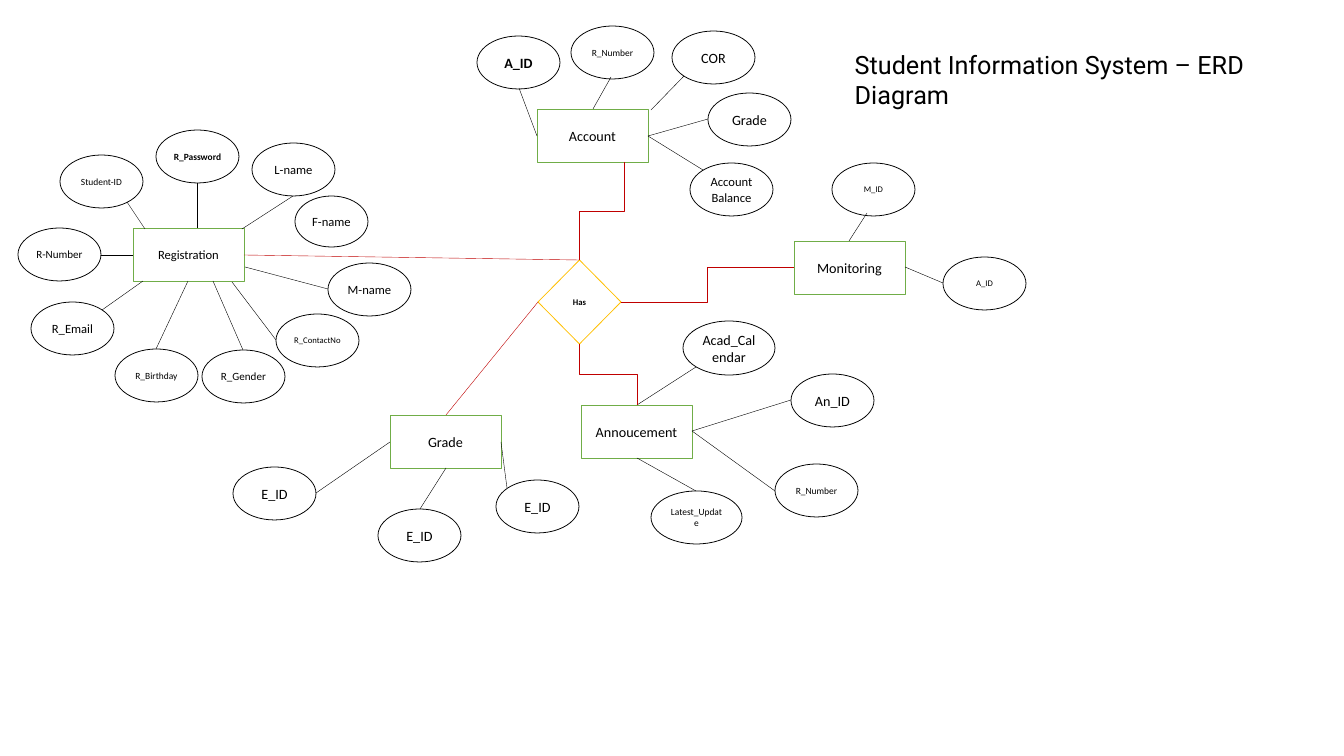
from lxml import etree
from pptx import Presentation
from pptx.dml.color import RGBColor
from pptx.enum.shapes import MSO_CONNECTOR, MSO_SHAPE
from pptx.enum.text import MSO_ANCHOR, MSO_AUTO_SIZE, PP_ALIGN
from pptx.oxml.ns import qn
from pptx.util import Pt

STRAIGHT, ELBOW = MSO_CONNECTOR.STRAIGHT, MSO_CONNECTOR.ELBOW
ELLIPSE, RECTANGLE, DIAMOND = MSO_SHAPE.OVAL, MSO_SHAPE.RECTANGLE, MSO_SHAPE.DIAMOND
LEFT, CENTER = PP_ALIGN.LEFT, PP_ALIGN.CENTER
TOP, MIDDLE = MSO_ANCHOR.TOP, MSO_ANCHOR.MIDDLE

SCALE = 914400 / 56.7
COLORS = {"ink": "000000", "paper": "FFFFFF", "entity": "70AD47",
          "relation": "C00000", "diamond": "FFC000"}
TITLE_ONLY = 5
ENTITY_SIZE = (111, 53)
ATTRIBUTE_SIZE = (83, 53)
WIDE_SIZES = {"Acad_Calendar": (92, 54), "Latest_Update": (91, 53), "F-name": (73, 51)}
KEY_ATTRIBUTES = {("Registration", "R_Password"), ("Account", "A_ID")}

# Entity: name, left, top, font size, attributes.
# Attribute: name, left, top, font size, connecting line (x1, y1, x2, y2).
ENTITIES = [
    ("Registration", 133, 228, 16, [
        ("R-Number", 18, 228, 14, (101, 255, 133, 255)),
        ("Student-ID", 60, 155, 12, (127, 202, 145, 229)),
        ("R_Password", 156, 130, 12, (197, 183, 197, 228)),
        ("L-name", 252, 143, 16, (293, 196, 242, 229)),
        ("F-name", 295, 196, 16, None),
        ("M-name", 328, 263, 16, (245, 267, 328, 289)),
        ("R_ContactNo", 276, 314, 11, (232, 282, 276, 340)),
        ("R_Gender", 202, 350, 14, (213, 281, 243, 350)),
        ("R_Birthday", 115, 349, 12, (188, 281, 156, 349)),
        ("R_Email", 31, 302, 16, (102, 310, 143, 281)),
    ]),
    ("Account", 537, 109, 18, [
        ("A_ID", 477, 36, 18, (537, 136, 519, 88)),
        ("R_Number", 571, 26, 12, (611, 77, 593, 109)),
        ("COR", 672, 31, 18, (684, 76, 651, 110)),
        ("Grade", 708, 93, 18, (708, 119, 648, 136)),
        ("Account\vBalance", 690, 163, 16, (703, 170, 648, 136)),
    ]),
    ("Monitoring", 794, 241, 18, [
        ("M_ID", 832, 163, 11, (867, 213, 849, 241)),
        ("A_ID", 943, 257, 11, (943, 283, 905, 267)),
    ]),
    ("Annoucement", 581, 405, 18, [
        ("Acad_Calendar", 683, 321, 18, (696, 367, 637, 405)),
        ("An_ID", 791, 374, 18, (791, 400, 692, 431)),
        ("R_Number", 775, 464, 12, (775, 491, 692, 431)),
        ("Latest_Update", 651, 491, 12, (696, 491, 637, 458)),
    ]),
    ("Grade", 390, 415, 18, [
        ("E_ID", 233, 467, 18, (316, 493, 390, 442)),
        ("E_ID", 378, 509, 18, (446, 468, 420, 509)),
        ("E_ID", 496, 480, 18, (501, 442, 507, 488)),
    ]),
]
STRAIGHT_RELATIONS = [(244, 255, 579, 260), (446, 415, 538, 302)]
SIDE_RELATIONS = [(621, 302, 794, 267)]
DOWN_RELATIONS = [(624, 162, 579, 260), (579, 344, 637, 405)]


def emu(*pixels):
    """Turn pixel lengths into EMU."""
    return [round(pixel * SCALE) for pixel in pixels]


def color(name):
    """Look up a colour by its role."""
    return RGBColor.from_string(COLORS[name])


def write(shape, text, align, anchor, **font_format):
    """Fill a shape with formatted, wrapping text."""
    frame = shape.text_frame
    frame.text = text
    frame.word_wrap = True
    frame.vertical_anchor = anchor
    for para in frame.paragraphs:
        para.alignment = align
        for span in para.runs:
            span.font.color.rgb = color("ink")
            for key, value in font_format.items():
                setattr(span.font, key, value)


def add_node(page, kind, box, text, size, outline, bold=False):
    """Add a white outlined shape with a centred label."""
    node = page.shapes.add_shape(kind, *emu(*box))
    node.shadow.inherit = False
    node.fill.solid()
    node.fill.fore_color.rgb = color("paper")
    node.line.color.rgb = color(outline)
    node.line.width = Pt(1)
    write(node, text, CENTER, MIDDLE, name="Calibri", size=Pt(size), bold=bold)


def add_link(page, ends, kind=STRAIGHT, ink="ink"):
    """Add a thin connector between two points."""
    link = page.shapes.add_connector(kind, *emu(*ends))
    link.line.color.rgb = color(ink)
    link.line.width = Pt(0.5)
    etree.SubElement(link._element.spPr, qn("a:effectLst"))
    return link


def add_down_link(page, ends):
    """Add an elbow that leaves downwards: a sideways elbow turned by 90 degrees."""
    x1, y1, x2, y2 = ends
    mid_x, mid_y = (x1 + x2) / 2, (y1 + y2) / 2
    half_x, half_y = (x2 - x1) / 2, (y2 - y1) / 2
    turned = (mid_x - half_y, mid_y + half_x, mid_x + half_y, mid_y - half_x)
    link = add_link(page, turned, ELBOW, "relation")
    link._element.spPr.find(qn("a:xfrm")).set("rot", str(90 * 60000))


def add_entity(page, name, left, top, size, attributes):
    """Add an entity with its attributes and their lines."""
    add_node(page, RECTANGLE, (left, top, *ENTITY_SIZE), name, size, "entity")
    for text, x, y, text_size, ends in attributes:
        box = (x, y, *WIDE_SIZES.get(text, ATTRIBUTE_SIZE))
        add_node(page, ELLIPSE, box, text, text_size, "ink",
                 bold=(name, text) in KEY_ATTRIBUTES)
        if ends:
            add_link(page, ends)


def add_title(page, text, box):
    """Move and format the title placeholder."""
    title = page.shapes.title
    title.left, title.top, title.width, title.height = emu(*box)
    write(title, text, LEFT, TOP, name="Roboto", size=Pt(32))
    title.text_frame.auto_size = MSO_AUTO_SIZE.NONE


def main():
    """Build the ERD slide."""
    deck = Presentation()
    deck.slide_width, deck.slide_height = emu(1344, 756)
    page = deck.slides.add_slide(deck.slide_layouts[TITLE_ONLY])
    add_title(page, "Student Information System – ERD Diagram", (849, 46, 495, 67))
    for entity in ENTITIES:
        add_entity(page, *entity)
    add_node(page, DIAMOND, (538, 260, 83, 84), "Has", 11, "diamond", bold=True)
    for ends in STRAIGHT_RELATIONS:
        add_link(page, ends, ink="relation")
    for ends in SIDE_RELATIONS:
        add_link(page, ends, ELBOW, "relation")
    for ends in DOWN_RELATIONS:
        add_down_link(page, ends)
    deck.save("out.pptx")


main()
